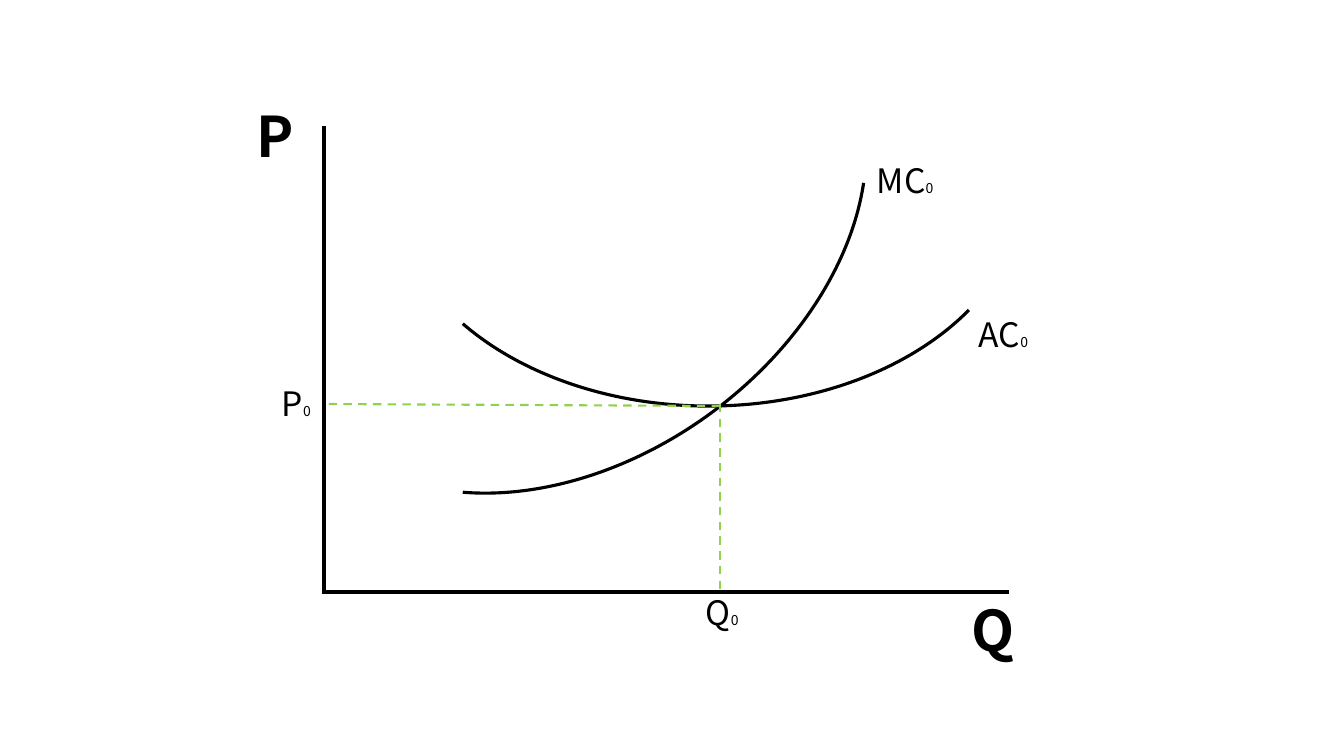
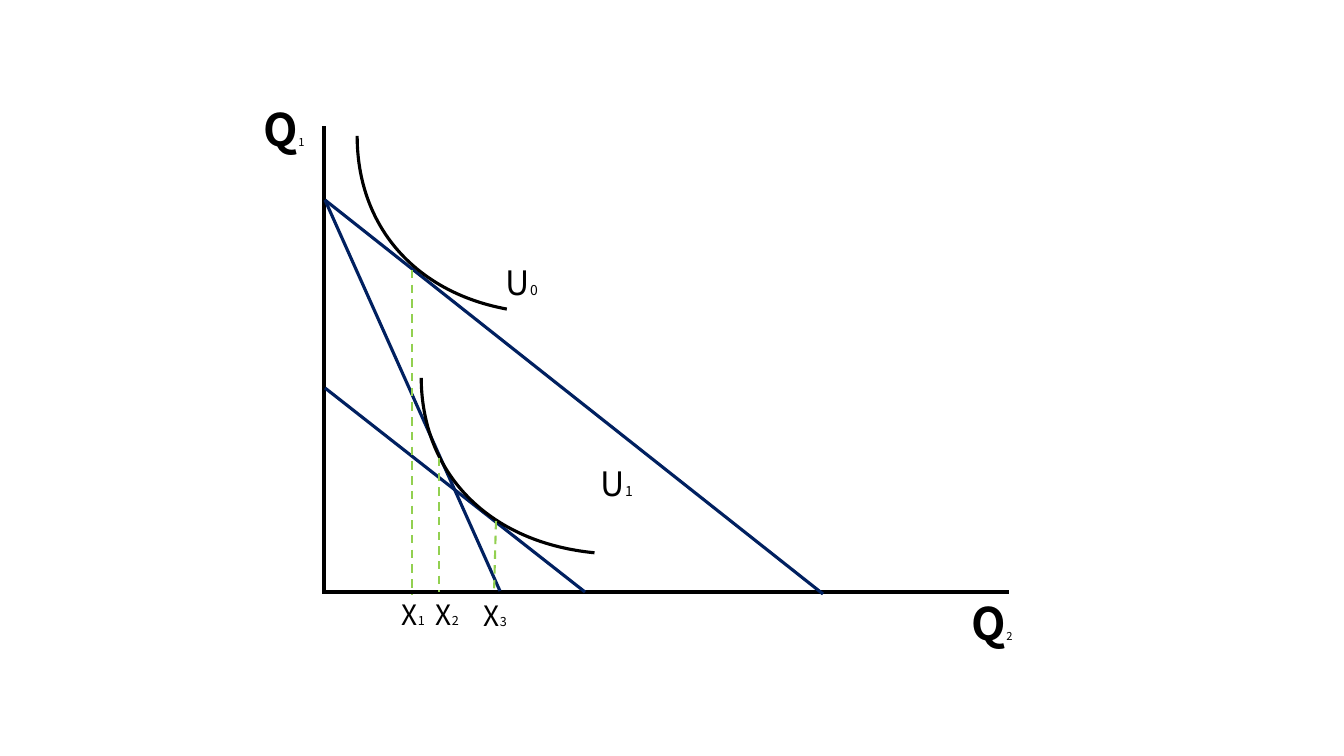
from lxml.etree import SubElement
from pptx import Presentation
from pptx.dml.color import RGBColor
from pptx.enum.dml import MSO_LINE
from pptx.enum.shapes import MSO_CONNECTOR, MSO_SHAPE
from pptx.enum.text import MSO_AUTO_SIZE
from pptx.oxml.ns import qn
from pptx.util import Emu, Pt

FONT = "Noto Sans CJK SC"
BLACK, NAVY, GREEN = "000000", "002060", "92D050"

# Shared line styles
AXIS = {"color": BLACK, "width": Pt(3)}
CURVE = {"color": BLACK, "width": Pt(2.25)}
BUDGET = {"color": NAVY, "width": Pt(2.25)}
GUIDE = {"color": GREEN, "width": Pt(1.5), "dash_style": MSO_LINE.DASH}

# Label styles: main size, index size, bold, box width and height
HEAD = (40, 8, True, 62, 78)
AXLE = (32, 8, True, 76, 65)
MARK = (24, 10, False, 95, 50)
TICK = (20, 9, False, 95, 44)


def px(n):
    return Emu(round(n * 914400 / 100.8))


def rgb(code):
    return RGBColor.from_string(code)


def style(obj, form):
    for key, val in form.items():
        if key == "color":
            obj.color.rgb = rgb(val)
        else:
            setattr(obj, key, val)


class Graph:
    def __init__(self):
        self.deck = Presentation()
        self.deck.slide_width, self.deck.slide_height = px(1344), px(756)
        self.slide = None

    def page(self):
        """Start a slide with its pair of axes."""
        self.slide = self.deck.slides.add_slide(self.deck.slide_layouts[6])
        group = self.slide.shapes.add_group_shape()
        self.line(323, 592, 1009, 592, AXIS, group.shapes)
        self.line(324, 594, 324, 126, AXIS, group.shapes)

    def line(self, x1, y1, x2, y2, form, home=None):
        home = home or self.slide.shapes
        ends = map(px, (x1, y1, x2, y2))
        link = home.add_connector(MSO_CONNECTOR.STRAIGHT, *ends)
        style(link.line, form)
        SubElement(link._element.spPr, qn("a:effectLst"))

    def arc(self, x, y, turn, start, end):
        curve = self.slide.shapes.add_shape(
            MSO_SHAPE.ARC, px(x), px(y), px(635), px(449))
        curve.rotation = turn
        curve.adjustments[0], curve.adjustments[1] = start, end
        curve.shadow.inherit = False
        curve.fill.background()
        style(curve.line, CURVE)

    def label(self, x, y, name, index, kind):
        """Write a name followed by a small index."""
        big, small, bold, wide, high = kind
        box = self.slide.shapes.add_textbox(px(x), px(y), px(wide), px(high))
        frame = box.text_frame
        style(frame, {"word_wrap": True,
                      "auto_size": MSO_AUTO_SIZE.SHAPE_TO_FIT_TEXT})
        for text, size, heavy in ((name, big, bold), (index, small, False)):
            if text:
                run = frame.paragraphs[0].add_run()
                run.text = text
                style(run.font, {"name": FONT, "size": Pt(size),
                                 "bold": heavy, "color": BLACK})


def costs(graph):
    graph.page()
    # Cost curves
    graph.arc(260, 8, 143.9, 123.75, 197.97)
    graph.arc(391, -43, 180, 123.75, 197.97)
    # Guides to the crossing point
    graph.line(720, 406, 323, 404, GUIDE)
    graph.line(720, 404, 720, 592, GUIDE)
    # Labels
    for item in ((247, 97, "P", "", HEAD), (962, 591, "Q", "", HEAD),
                 (969, 309, "AC", "0", MARK), (867, 155, "MC", "0", MARK),
                 (272, 378, "P", "0", MARK), (696, 587, "Q", "0", MARK)):
        graph.label(*item)


def choice(graph):
    graph.page()
    # Budget lines
    for ends in ((325, 200, 823, 594), (325, 200, 500, 591),
                 (325, 388, 585, 592)):
        graph.line(*ends, BUDGET)
    # Utility curves
    graph.arc(395, 72, 145.8, 197.36, 11.16)
    graph.arc(329, -171, 144.4, 200.56, 11.83)
    # Guides to the touching points
    for ends in ((496, 521, 494, 594), (439, 458, 439, 592),
                 (412, 270, 412, 594)):
        graph.line(*ends, GUIDE)
    # Labels
    for item in ((254, 97, "Q", "1", AXLE), (962, 591, "Q", "2", AXLE),
                 (496, 257, "U", "0", MARK), (591, 458, "U", "1", MARK),
                 (392, 593, "X", "1", TICK), (426, 593, "X", "2", TICK),
                 (474, 594, "X", "3", TICK)):
        graph.label(*item)


def main():
    graph = Graph()
    costs(graph)
    choice(graph)
    graph.deck.save("out.pptx")


if __name__ == "__main__":
    main()
